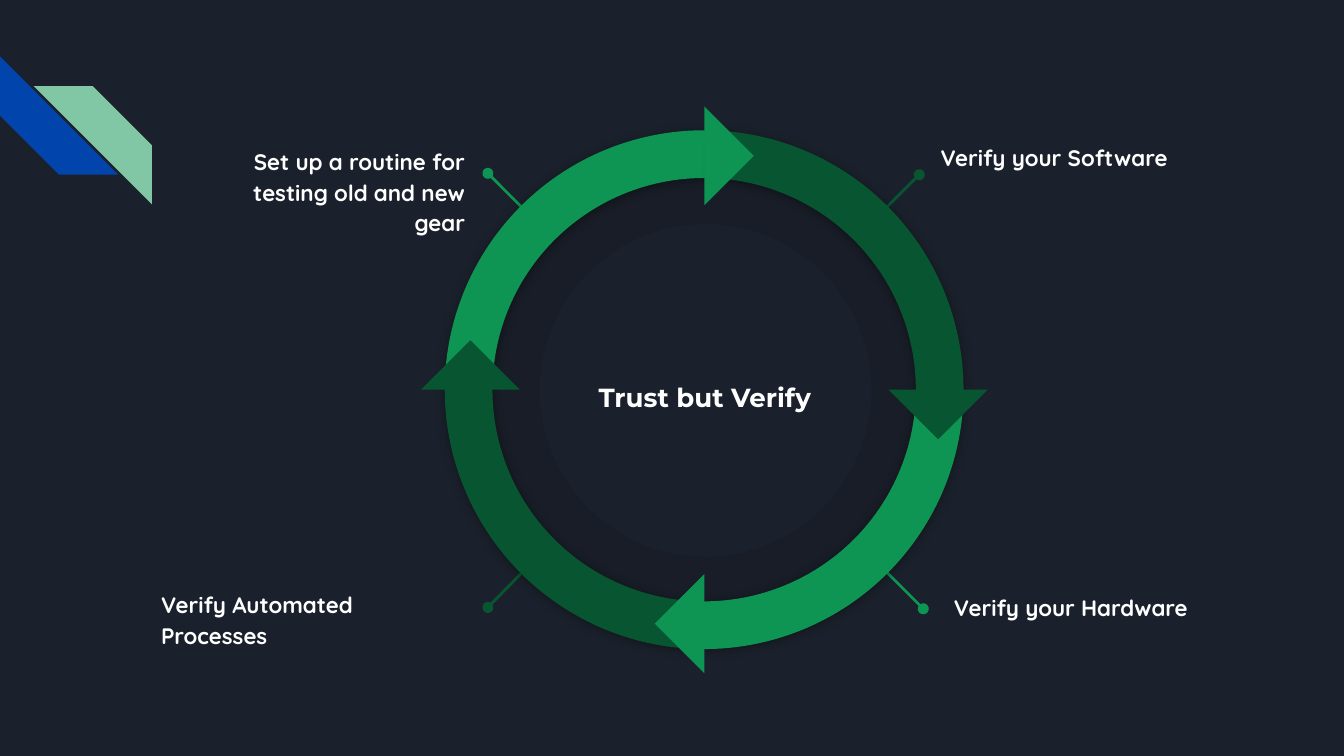
from math import cos, radians, sin

from lxml.etree import SubElement
from pptx import Presentation
from pptx.dml.color import RGBColor
from pptx.enum.shapes import MSO_CONNECTOR as Connector, MSO_SHAPE as Shape
from pptx.enum.text import MSO_ANCHOR as Anchor, MSO_AUTO_SIZE as AutoSize, PP_ALIGN as Align
from pptx.oxml.ns import qn
from pptx.util import Inches, Pt

NAVY, WHITE, BLACK = "1B212C", "FFFFFF", "000000"
GREEN, DARK_GREEN = "0E9453", "085631"
BLUE, MINT = "0145AC", "82C7A5"
CENTER_X, CENTER_Y = 5.24, 2.9
RING_SIZE, BAND = 3.86, 0.092
HEAD_SIZE, HEAD_RADIUS = 0.52, 1.74

STEPS = [
    (180, GREEN, "Set up a routine for testing old and new gear", Align.RIGHT,
     (1.42, 0.97, 2.14, 0.83), (3.63, 1.29, 4.12, 1.78)),
    (270, DARK_GREEN, "Verify your Software", Align.LEFT,
     (6.9, 0.94, 2.14, 0.86), (6.84, 1.3, 6.36, 1.78)),
    (90, DARK_GREEN, "Verify Automated Processes", Align.LEFT,
     (1.1, 4.27, 2.46, 0.96), (3.63, 4.52, 4.12, 4.02)),
    (0, GREEN, "Verify your Hardware", Align.LEFT,
     (7, 4.29, 2.14, 0.76), (6.87, 4.53, 6.36, 4.02)),
]


def paint(color_format, color):
    color_format.rgb = RGBColor.from_string(color)


def add_solid(slide, preset, box, color, rotation=0, adjustments=()):
    solid = slide.shapes.add_shape(preset, *map(Inches, box))
    solid.shadow.inherit = False
    solid.fill.solid()
    paint(solid.fill.fore_color, color)
    solid.line.fill.background()
    solid.rotation = rotation
    for index, value in enumerate(adjustments):
        solid.adjustments[index] = value
    return solid


def centered_box(x, y, size):
    return x - size / 2, y - size / 2, size, size


def add_corner_stripes(slide):
    add_solid(slide, Shape.DIAGONAL_STRIPE, (0, 0.42, 0.88, 0.88), BLUE, 270, [0.5])
    mint = add_solid(slide, Shape.DIAGONAL_STRIPE, (0.25, 0.64, 0.88, 0.88), MINT, 0, [0.5])
    mint._element.spPr.find(qn("a:xfrm")).set("flipH", "1")


def add_inner_shade(slide):
    shade = add_solid(slide, Shape.DONUT, (3.43, 1.08, 3.64, 3.65), BLACK, adjustments=[0.161])
    color = shade._element.spPr.find(".//" + qn("a:srgbClr"))
    SubElement(color, qn("a:alpha"), val="11000")


def add_soft_shadow(solid):
    effects = solid._element.spPr.find(qn("a:effectLst"))
    shadow = SubElement(effects, qn("a:outerShdw"), blurRad=str(Pt(5.6)), dist=str(Pt(0.8)),
                        dir="5400000", algn="bl", rotWithShape="0")
    color = SubElement(shadow, qn("a:srgbClr"), val=BLACK)
    SubElement(color, qn("a:alpha"), val="40000")


def add_arc(slide, start, color):
    angles = [start + 2, (start + 91) % 360]
    adjustments = [angle * 0.6 for angle in angles] + [BAND]
    arc = add_solid(slide, Shape.BLOCK_ARC, centered_box(CENTER_X, CENTER_Y, RING_SIZE), color,
                    adjustments=adjustments)
    add_soft_shadow(arc)


def add_arrow_tip(slide, start, color):
    angle = radians(start + 90)
    x = CENTER_X + HEAD_RADIUS * cos(angle)
    y = CENTER_Y + HEAD_RADIUS * sin(angle)
    add_solid(slide, Shape.RIGHT_TRIANGLE, centered_box(x, y, HEAD_SIZE), color,
              (start + 45) % 360)


def add_leader(slide, ends, color):
    leader = slide.shapes.add_connector(Connector.STRAIGHT, *map(Inches, ends))
    paint(leader.line.color, color)
    leader.line.width = Pt(1.5)
    SubElement(leader.line._get_or_add_ln(), qn("a:headEnd"), type="oval")
    SubElement(leader._element.spPr, qn("a:effectLst"))


def write_text(holder, text, font_name, size, align, anchor):
    frame = holder.text_frame
    frame.text = text
    frame.word_wrap = True
    frame.auto_size = AutoSize.NONE
    frame.vertical_anchor = anchor
    frame.margin_left = frame.margin_right = Inches(0.1)
    frame.margin_top = frame.margin_bottom = Inches(0.1)
    paragraph = frame.paragraphs[0]
    paragraph.alignment = align
    paragraph.line_spacing = 1.15
    paragraph.space_before = Pt(0)
    font = paragraph.font
    font.name, font.size, font.bold = font_name, Pt(size), True
    paint(font.color, WHITE)


def add_title(slide):
    title = slide.shapes.title
    title.left, title.top, title.width, title.height = map(Inches, (4.21, 2.36, 2.07, 1.15))
    write_text(title, "Trust but Verify", "Montserrat", 14, Align.CENTER, Anchor.MIDDLE)


def add_label(slide, text, box, align):
    label = slide.shapes.add_textbox(*map(Inches, box))
    write_text(label, text, "Quicksand", 12, align, Anchor.TOP)


def main():
    deck = Presentation()
    deck.slide_width = Inches(10)
    deck.slide_height = deck.slide_width * 9 // 16
    slide = deck.slides.add_slide(deck.slide_layouts[5])
    slide.background.fill.solid()
    paint(slide.background.fill.fore_color, NAVY)

    add_corner_stripes(slide)
    add_inner_shade(slide)
    add_title(slide)
    for _, color, text, align, box, leader_ends in STEPS:
        add_leader(slide, leader_ends, color)
        add_label(slide, text, box, align)
    for start, color, *_ in STEPS:
        add_arc(slide, start, color)
    for start, color, *_ in STEPS:
        add_arrow_tip(slide, start, color)

    deck.save("out.pptx")


if __name__ == "__main__":
    main()
